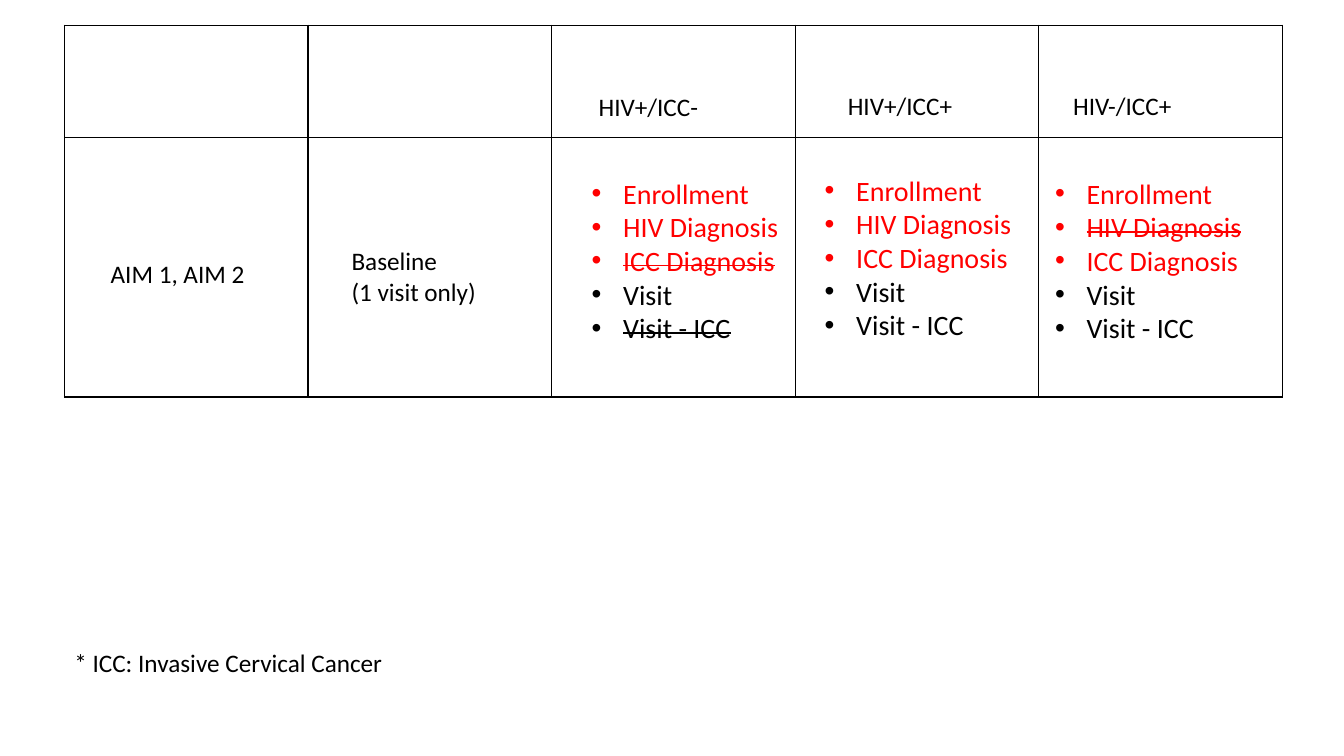
from lxml import etree
from pptx import Presentation
from pptx.dml.color import RGBColor
from pptx.enum.text import MSO_AUTO_SIZE
from pptx.oxml.ns import qn
from pptx.util import Pt

BLACK = RGBColor(0x00, 0x00, 0x00)
RED = RGBColor(0xFF, 0x00, 0x00)
FIT_SHAPE = MSO_AUTO_SIZE.SHAPE_TO_FIT_TEXT
FONT = "Calibri"
BULLET_INDENT = Pt(22.5)

COLUMN_COUNT = 5
COLUMN_WIDTH = Pt(174)
ROW_HEIGHTS = [Pt(80), Pt(185.6)]

STEPS = ["Enrollment", "HIV Diagnosis", "ICC Diagnosis", "Visit", "Visit - ICC"]
RED_STEPS = STEPS[:3]

# Text, left, top, width, height, wrap
LABELS = [
    ("HIV+/ICC-", 420.5, 62, 93, 29, True),
    ("HIV+/ICC+", 598.5, 61.2, 90, 29, False),
    ("HIV-/ICC+", 759.5, 61.2, 86, 29, False),
    ("AIM 1, AIM 2", 72, 180.7, 124.5, 29, True),
    ("Baseline\n(1 visit only)", 244, 172, 118, 51, True),
    ("* ICC: Invasive Cervical Cancer", 46, 458.7, 237, 29, False),
]

# Left, top, struck-out steps
STEP_LISTS = [
    (415.5, 122.4, ["ICC Diagnosis", "Visit - ICC"]),
    (582, 120.3, []),
    (746.5, 122.4, ["HIV Diagnosis"]),
]


def add_borders(cell):
    properties = cell._tc.get_or_add_tcPr()
    for position, side in enumerate(("a:lnL", "a:lnR", "a:lnT", "a:lnB")):
        line = etree.Element(qn(side), w=str(Pt(1)))
        fill = etree.SubElement(line, qn("a:solidFill"))
        etree.SubElement(fill, qn("a:srgbClr"), val=str(BLACK))
        properties.insert(position, line)


def add_grid(slide):
    frame = slide.shapes.add_table(
        len(ROW_HEIGHTS), COLUMN_COUNT, Pt(46), Pt(18),
        COLUMN_WIDTH * COLUMN_COUNT, sum(ROW_HEIGHTS))
    table = frame.table
    table.first_row = False
    table.horz_banding = False
    for column in table.columns:
        column.width = COLUMN_WIDTH
    for row, height in zip(table.rows, ROW_HEIGHTS):
        row.height = height
    for cell in table.iter_cells():
        cell.fill.background()
        add_borders(cell)


def add_text(slide, text, left, top, width, height, wrap, size=18):
    box = slide.shapes.add_textbox(Pt(left), Pt(top), Pt(width), Pt(height))
    frame = box.text_frame
    frame.word_wrap = wrap
    frame.auto_size = FIT_SHAPE
    frame.text = text
    for para in frame.paragraphs:
        for span in para.runs:
            span.font.name = FONT
            span.font.size = Pt(size)
            span.font.color.rgb = BLACK
    return frame


def add_bullet(para):
    properties = para._p.get_or_add_pPr()
    properties.set("marL", str(BULLET_INDENT))
    properties.set("indent", str(-BULLET_INDENT))
    etree.SubElement(properties, qn("a:buFont"), typeface="Arial")
    etree.SubElement(properties, qn("a:buChar"), char="•")


def add_step_list(slide, left, top, struck_steps):
    frame = add_text(slide, "\n".join(STEPS), left, top, 195, 128, True, size=20)
    for step, para in zip(STEPS, frame.paragraphs):
        add_bullet(para)
        font = para.runs[0].font
        if step in RED_STEPS:
            font.color.rgb = RED
        if step in struck_steps:
            para.runs[0]._r.get_or_add_rPr().set("strike", "sngStrike")


def main():
    deck = Presentation()
    deck.slide_width = Pt(960)
    deck.slide_height = Pt(540)
    page = deck.slides.add_slide(deck.slide_layouts[6])

    # Study grid
    add_grid(page)

    # Headings, row labels and footnote
    for label in LABELS:
        add_text(page, *label)

    # Steps for each group
    for step_list in STEP_LISTS:
        add_step_list(page, *step_list)

    deck.save("out.pptx")


if __name__ == "__main__":
    main()
